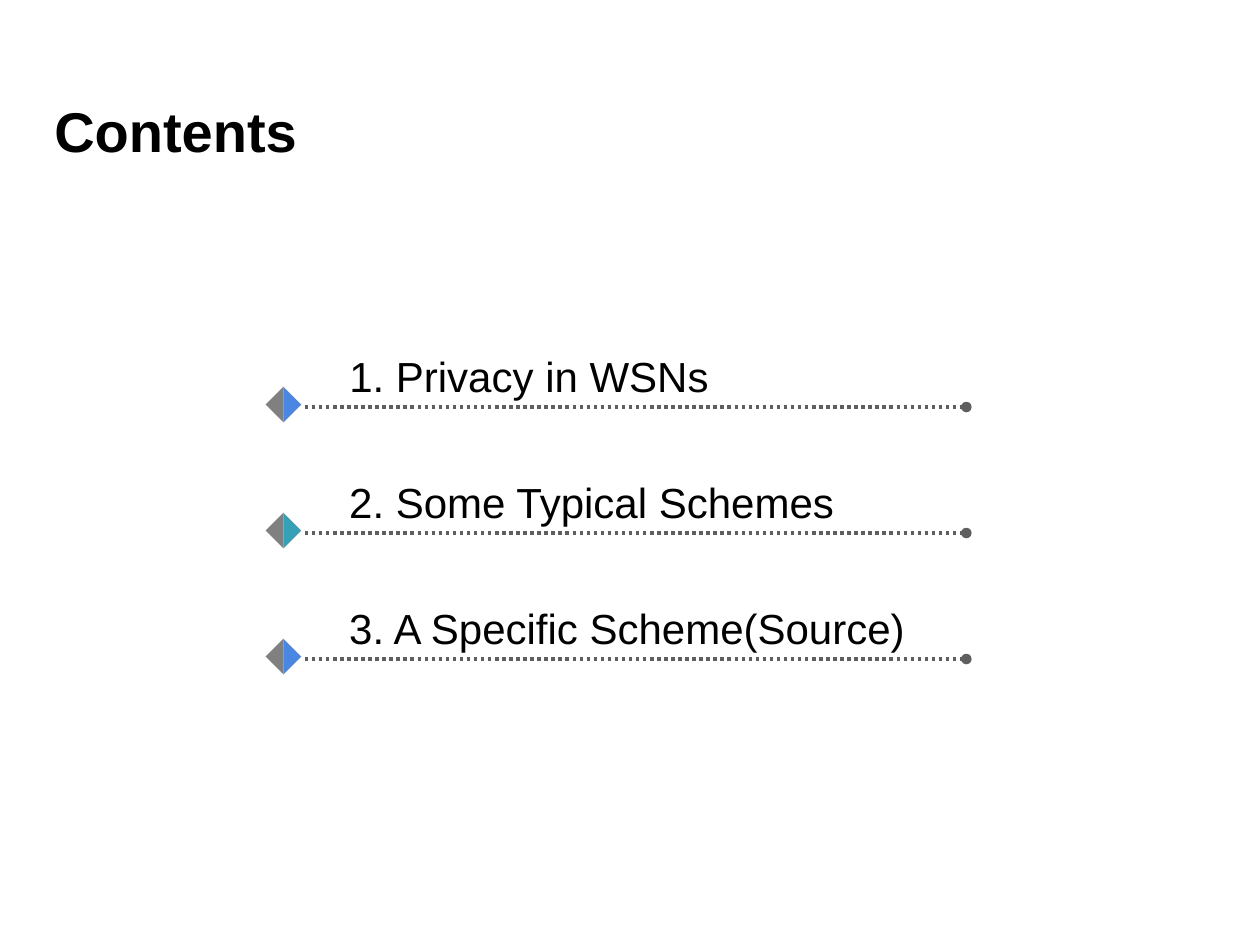
from lxml import etree
from pptx import Presentation
from pptx.dml.color import RGBColor
from pptx.enum.dml import MSO_LINE
from pptx.enum.shapes import MSO_CONNECTOR, MSO_SHAPE
from pptx.enum.text import MSO_ANCHOR, MSO_AUTO_SIZE, PP_ALIGN
from pptx.oxml.ns import qn
from pptx.util import Pt

STRAIGHT = MSO_CONNECTOR.STRAIGHT
TRIANGLE = MSO_SHAPE.RIGHT_TRIANGLE
DOTS = MSO_LINE.ROUND_DOT
LEFT = PP_ALIGN.LEFT
MIDDLE = MSO_ANCHOR.MIDDLE
FIT = MSO_AUTO_SIZE.SHAPE_TO_FIT_TEXT

TITLE = "Contents"
# text, accent colour, text box width
ITEMS = [
    ("1. Privacy in WSNs", "4987E3", 219.6),
    ("2. Some Typical Schemes", "36A1B6", 293),
    ("3. A Specific Scheme(Source)", "4987E3", 341.3),
]
BLACK, GREY, DARK = "000000", "808080", "5F5F5F"
TOP, STEP = 232.6, 72  # first rule and the gap to the next
SIDE = 14.4


def paint(fmt, colour):
    fmt.solid()
    fmt.fore_color.rgb = RGBColor.from_string(colour)


def write(frame, text, size, bold=False):
    frame.text = text
    para = frame.paragraphs[0]
    para.alignment = LEFT
    font = para.runs[0].font
    font.name, font.size, font.bold = "Arial", Pt(size), bold
    paint(font.fill, BLACK)


def add_rule(shapes, y):
    """Draw a dotted line that ends in a round dot."""
    rule = shapes.add_connector(STRAIGHT, Pt(174.2), Pt(y), Pt(552.2), Pt(y))
    paint(rule.line.fill, DARK)
    rule.line.width = Pt(2)
    rule.line.dash_style = DOTS
    tail = etree.SubElement(rule.line._get_or_add_ln(), qn("a:tailEnd"))
    tail.set("type", "oval")
    etree.SubElement(rule._element.spPr, qn("a:effectLst"))


def add_gem(shapes, y, colour):
    """Draw a diamond from a grey left half and a coloured right half."""
    for turn, tone in ((45, GREY), (225, colour)):
        half = shapes.add_shape(TRIANGLE, Pt(154.8), Pt(y), Pt(SIDE), Pt(SIDE))
        half.rotation = turn
        half.shadow.inherit = False
        paint(half.fill, tone)
        half.line.fill.background()


def main():
    deck = Presentation()
    deck.slide_width, deck.slide_height = Pt(720), Pt(540)
    slide = deck.slides.add_slide(deck.slide_layouts[5])
    shapes = slide.shapes
    paint(slide.background.fill, "FFFFFF")

    title = shapes.title
    title.left, title.top = Pt(23.8), Pt(51.8)
    title.width, title.height = Pt(390), Pt(44.6)
    write(title.text_frame, TITLE, 32, True)
    title.text_frame.vertical_anchor = MIDDLE

    for i, (text, colour, width) in enumerate(ITEMS):
        y = TOP + i * STEP
        add_rule(shapes, y)
        add_gem(shapes, y - 8.6, colour)
        box = shapes.add_textbox(Pt(192.5), Pt(y - 36), Pt(width), Pt(36))
        box.text_frame.word_wrap = False
        box.text_frame.auto_size = FIT
        write(box.text_frame, text, 24)

    deck.save("out.pptx")


if __name__ == "__main__":
    main()
